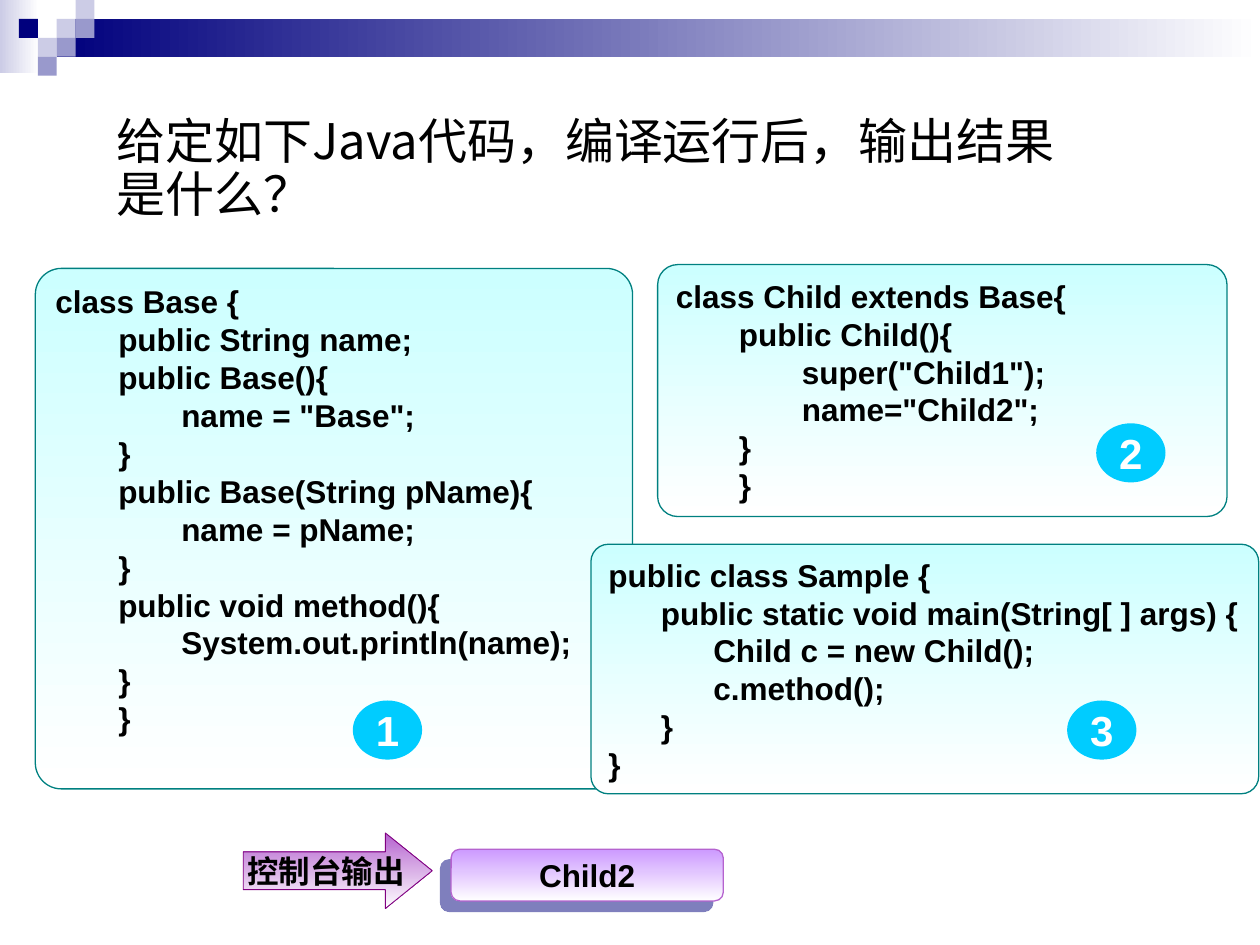
from lxml import etree
from pptx import Presentation
from pptx import util as u
from pptx.dml.color import RGBColor
from pptx.enum import shapes, text
from pptx.oxml.ns import qn

Pt = u.Pt
SHAPE = shapes.MSO_SHAPE
ANCHOR = text.MSO_ANCHOR
ALIGN = text.PP_ALIGN
LATIN, CHINESE = "Arial", "Noto Sans CJK SC"
COLORS = {
    "navy": "00007D", "lavender": "CCCCE6", "periwinkle": "9999CC",
    "white": "FFFFFF", "black": "000000", "aqua": "CCFFFF", "teal": "008080",
    "lilac": "CC99FF", "orchid": "B563CF", "purple": "800080", "sky": "00CCFF",
}

presentation = Presentation()
presentation.slide_width, presentation.slide_height = Pt(720), Pt(540)
slide = presentation.slides.add_slide(presentation.slide_layouts[6])


def add_block(kind, box, fill, line=None, fade_angle=None, line_width=0.75):
    """Add a shape with a solid fill, or one fading to white at fade_angle."""
    shape = slide.shapes.add_shape(kind, *[Pt(length) for length in box])
    shape.shadow.inherit = False
    if fade_angle is None:
        shape.fill.solid()
        shape.fill.fore_color.rgb = RGBColor.from_string(COLORS[fill])
    else:
        shape.fill.gradient()
        shape.fill.gradient_angle = fade_angle
        for stop, name in zip(shape.fill.gradient_stops, (fill, "white")):
            stop.color.rgb = RGBColor.from_string(COLORS[name])
    if line:
        shape.line.color.rgb = RGBColor.from_string(COLORS[line])
        shape.line.width = Pt(line_width)
    else:
        shape.line.fill.background()
    return shape


def write(shape, lines, size=18, color="black", bold=True, font=LATIN,
          align=ALIGN.CENTER, anchor=ANCHOR.MIDDLE, wrap=False, spacing=None):
    """Fill a shape with lines; each leading tab is one indent level."""
    frame = shape.text_frame
    frame.word_wrap = wrap
    frame.vertical_anchor = anchor
    frame.text = "\n".join(line.lstrip("\t") for line in lines)
    for paragraph, line in zip(frame.paragraphs, lines):
        level = len(line) - len(line.lstrip("\t"))
        paragraph.alignment = align
        if level:
            paragraph.level = level
            properties = paragraph._p.get_or_add_pPr()
            properties.set("marL", str(Pt(36 * level)))
            properties.set("indent", "0")
        if spacing:
            paragraph.line_spacing = Pt(spacing)
        for run in paragraph.runs:
            run.font.size = Pt(size)
            run.font.bold = bold
            run.font.name = font
            run.font.color.rgb = RGBColor.from_string(COLORS[color])
            east_asian = etree.SubElement(run._r.get_or_add_rPr(), qn("a:ea"))
            east_asian.set("typeface", CHINESE)


# Header band and its mosaic of small squares
add_block(SHAPE.RECTANGLE, (0, 0, 22.3, 41.8), "lavender", fade_angle=0)
add_block(SHAPE.RECTANGLE, (32.4, 10.8, 687.6, 21.6), "navy", fade_angle=0)
SQUARE = 10.8
for column, row, color in [
    (3, 1, "lavender"), (4, 0, "lavender"), (4, 1, "periwinkle"),
    (2, 2, "lavender"), (1, 1, "navy"), (3, 2, "periwinkle"), (2, 3, "periwinkle"),
]:
    add_block(SHAPE.RECTANGLE,
              (SQUARE * column, SQUARE * row, SQUARE, SQUARE), color)

# Question
title = slide.shapes.add_textbox(Pt(59.76), Pt(63), Pt(560), Pt(73))
write(title, ["给定如下Java代码，编译运行后，输出结果是什么？"], size=28, bold=False,
      font=CHINESE, align=ALIGN.LEFT, anchor=ANCHOR.TOP, wrap=True, spacing=30.3)

# Code panels
base_code = [
    "class Base {",
    "\tpublic String name;",
    "\tpublic Base(){",
    "\t\tname = \"Base\";",
    "\t}",
    "\tpublic Base(String pName){",
    "\t\tname = pName;",
    "\t}",
    "\tpublic void method(){",
    "\t\tSystem.out.println(name);",
    "\t}",
    "\t}",
]
child_code = [
    "class Child extends Base{",
    "\tpublic Child(){",
    "\t\tsuper(\"Child1\");",
    "\t\tname=\"Child2\";",
    "\t}",
    "\t}",
]
sample_code = [
    "public class Sample {",
    "      public static void main(String[ ] args) {",
    "            Child c = new Child();",
    "            c.method();",
    "      }",
    "}",
]
for box, corner, code in [
    ((20.2, 153.4, 341.3, 297.4), 0.05, base_code),
    ((375.8, 151.2, 325.4, 144), 0.08, child_code),
    ((337.7, 311, 381.6, 142.6), 0.07, sample_code),
]:
    panel = add_block(SHAPE.ROUNDED_RECTANGLE, box, "aqua", "teal", fade_angle=270)
    panel.adjustments[0] = corner
    panel.text_frame.margin_right = 0
    write(panel, code, align=ALIGN.LEFT, anchor=ANCHOR.TOP, wrap=True, spacing=21.65)

# Console output
result = add_block(SHAPE.ROUNDED_RECTANGLE, (257.8, 485.3, 155.5, 29.5),
                   "lilac", "orchid", fade_angle=270)
write(result, ["Child2"])
effects = result._element.spPr.find(qn("a:effectLst"))
shadow = etree.SubElement(effects, qn("a:outerShdw"), dist=str(Pt(8.5)),
                          dir=str(135 * 60000), algn="ctr", rotWithShape="0")
shadow_color = etree.SubElement(shadow, qn("a:srgbClr"), val=COLORS["navy"])
etree.SubElement(shadow_color, qn("a:alpha"), val="50000")

arrow = add_block(SHAPE.RIGHT_ARROW, (139, 476, 108, 43.2), "orchid", "purple",
                  fade_angle=270, line_width=0.5)
arrow.adjustments[1] = 0.62
frame = arrow.text_frame
frame.margin_left = frame.margin_right = frame.margin_top = frame.margin_bottom = 0
write(arrow, ["控制台输出"])

# Panel numbers
for number, (left, top) in enumerate([(201.6, 400.3), (626.4, 241.9), (609.8, 400.3)], 1):
    badge = add_block(SHAPE.OVAL, (left, top, 39.6, 33.8), "sky")
    write(badge, [str(number)], size=24, color="white")

presentation.save("out.pptx")
